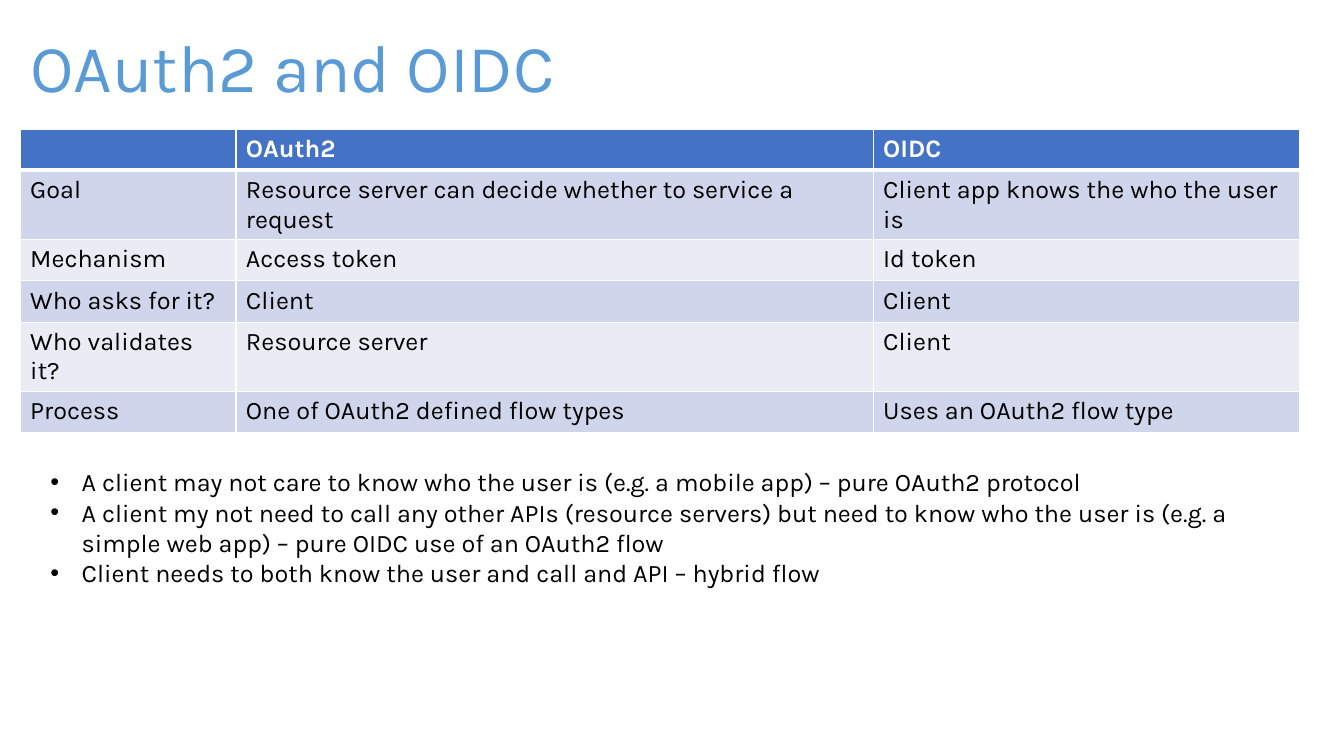
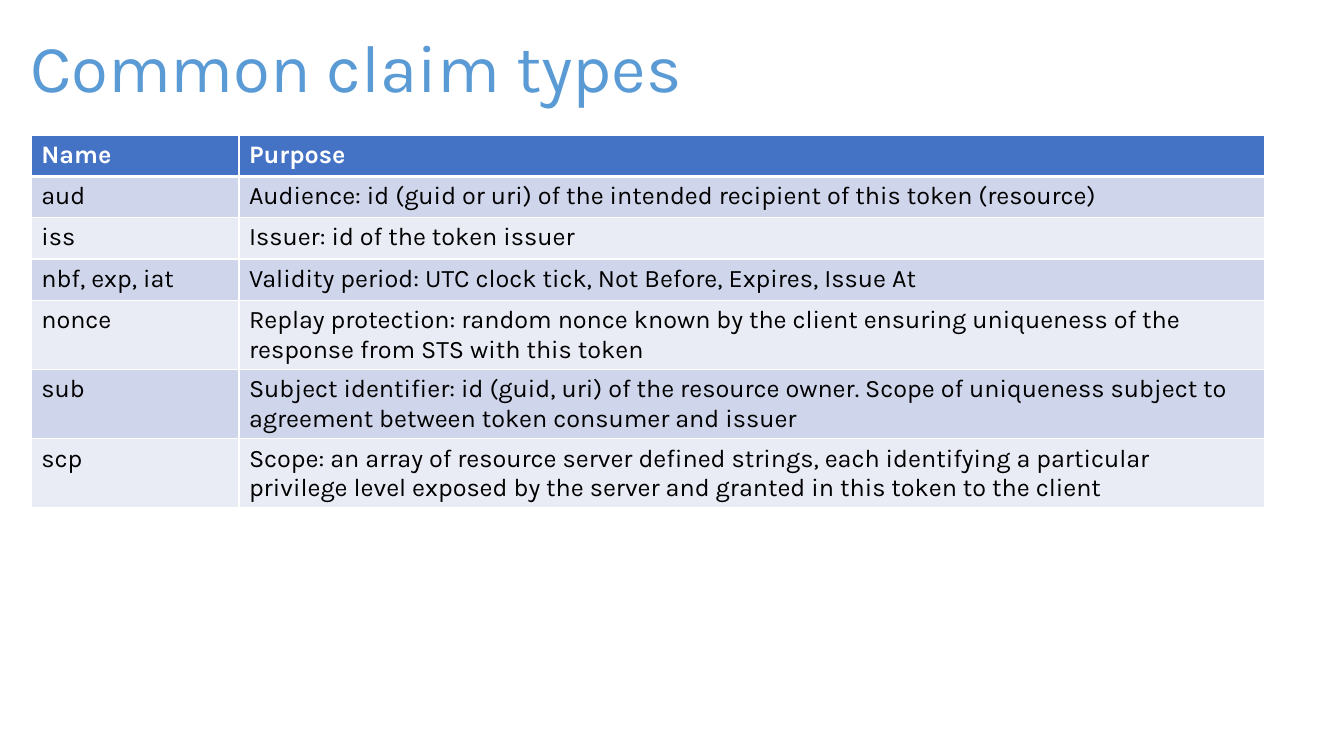
from lxml.etree import SubElement
from pptx import Presentation
from pptx.dml.color import RGBColor
from pptx.enum.text import MSO_ANCHOR, MSO_AUTO_SIZE, PP_ALIGN
from pptx.oxml.ns import qn
from pptx.util import Emu, Pt

PX = 9144  # EMU in one px, 100 px to the inch
FONT = "Karla"
TITLE_SIZE, TEXT_SIZE = 48, 18
TITLE_BLUE, HEADER_BLUE = "5B9BD5", "4472C4"
BANDS = ("CFD5EA", "E9EBF5")
WHITE, BLACK = "FFFFFF", "000000"
TITLE_BOX = (20, 20, 1299, 100)
ROW_HEIGHT = 41
BULLET_INDENT = 31
TITLE_AND_BODY, TITLE_ONLY = 1, 5

PROTOCOL_ROWS = [
    ("", "OAuth2", "OIDC"),
    ("Goal", "Resource server can decide whether to service a request",
     "Client app knows the who the user is"),
    ("Mechanism", "Access token", "Id token"),
    ("Who asks for it?", "Client", "Client"),
    ("Who validates it?", "Resource server", "Client"),
    ("Process", "One of OAuth2 defined flow types", "Uses an OAuth2 flow type"),
]
PROTOCOL_NOTES = [
    "A client may not care to know who the user is (e.g. a mobile app) – pure OAuth2 protocol",
    "A client my not need to call any other APIs (resource servers) but need to know "
    "who the user is (e.g. a simple web app) – pure OIDC use of an OAuth2 flow",
    "Client needs to both know the user and call and API – hybrid flow",
]
CLAIM_ROWS = [
    ("Name", "Purpose"),
    ("aud", "Audience: id (guid or uri) of the intended recipient of this token (resource)"),
    ("iss", "Issuer: id of the token issuer"),
    ("nbf, exp, iat", "Validity period: UTC clock tick, Not Before, Expires, Issue At"),
    ("nonce", "Replay protection: random nonce known by the client ensuring uniqueness "
              "of the response from STS with this token"),
    ("sub", "Subject identifier: id (guid, uri) of the resource owner. Scope of uniqueness "
            "subject to agreement between token consumer and issuer"),
    ("scp", "Scope: an array of resource server defined strings, each identifying a particular "
            "privilege level exposed by the server and granted in this token to the client"),
]


def px(length):
    return Emu(length * PX)


def color(value):
    return RGBColor.from_string(value)


def add_span(para, text, size, ink, bold=False):
    span = para.add_run()
    span.text = text
    span.font.name = FONT
    span.font.size = Pt(size)
    span.font.bold = bold
    span.font.color.rgb = color(ink)


def place(shape, box):
    shape.left, shape.top, shape.width, shape.height = map(px, box)


def add_page(deck, layout, title):
    page = deck.slides.add_slide(deck.slide_layouts[layout])
    heading = page.shapes.title
    place(heading, TITLE_BOX)
    frame = heading.text_frame
    frame.vertical_anchor = MSO_ANCHOR.MIDDLE
    frame.auto_size = MSO_AUTO_SIZE.NONE
    para = frame.paragraphs[0]
    para.alignment = PP_ALIGN.LEFT
    para.line_spacing = 0.9
    add_span(para, title, TITLE_SIZE, TITLE_BLUE)
    return page


def add_borders(cell, top, bottom):
    """White cell edges; top and bottom are widths in points. Call before filling."""
    properties = cell._tc.get_or_add_tcPr()
    for side, width in (("L", 1), ("R", 1), ("T", top), ("B", bottom)):
        line = SubElement(properties, qn(f"a:ln{side}"), w=str(Pt(width)))
        fill = SubElement(line, qn("a:solidFill"))
        SubElement(fill, qn("a:srgbClr"), val=WHITE)


def add_banded_table(page, left, top, widths, rows):
    frame = page.shapes.add_table(len(rows), len(widths), px(left), px(top),
                                  px(sum(widths)), px(ROW_HEIGHT * len(rows)))
    table = frame.table
    for column, width in zip(table.columns, widths):
        column.width = px(width)
    for row_index, texts in enumerate(rows):
        header = row_index == 0
        table.rows[row_index].height = px(ROW_HEIGHT)
        for column_index, text in enumerate(texts):
            cell = table.cell(row_index, column_index)
            add_borders(cell, 3 if row_index == 1 else 1, 3 if header else 1)
            cell.fill.solid()
            cell.fill.fore_color.rgb = color(
                HEADER_BLUE if header else BANDS[(row_index - 1) % 2])
            if text:
                add_span(cell.text_frame.paragraphs[0], text, TEXT_SIZE,
                         WHITE if header else BLACK, header)


def fill_bullets(body, box, items):
    place(body, box)
    frame = body.text_frame
    frame.auto_size = MSO_AUTO_SIZE.NONE
    frame.vertical_anchor = MSO_ANCHOR.TOP
    for index, item in enumerate(items):
        para = frame.add_paragraph() if index else frame.paragraphs[0]
        para.space_before = Pt(0)
        properties = para._p.get_or_add_pPr()
        properties.set("marL", str(px(BULLET_INDENT)))
        properties.set("indent", str(-px(BULLET_INDENT)))
        SubElement(properties, qn("a:buFont"), typeface="Arial")
        SubElement(properties, qn("a:buChar"), char="•")
        add_span(para, item, TEXT_SIZE, BLACK)


def add_protocol_page(deck):
    page = add_page(deck, TITLE_AND_BODY, "OAuth2 and OIDC")
    add_banded_table(page, 20, 128, (214, 632, 423), PROTOCOL_ROWS)
    fill_bullets(page.placeholders[1], (40, 458, 1249, 131), PROTOCOL_NOTES)


def add_claims_page(deck):
    page = add_page(deck, TITLE_ONLY, "Common claim types")
    add_banded_table(page, 31, 134, (206, 1017), CLAIM_ROWS)


def main():
    deck = Presentation()
    deck.slide_width, deck.slide_height = px(1333), px(750)
    add_protocol_page(deck)
    add_claims_page(deck)
    deck.save("out.pptx")


if __name__ == "__main__":
    main()
